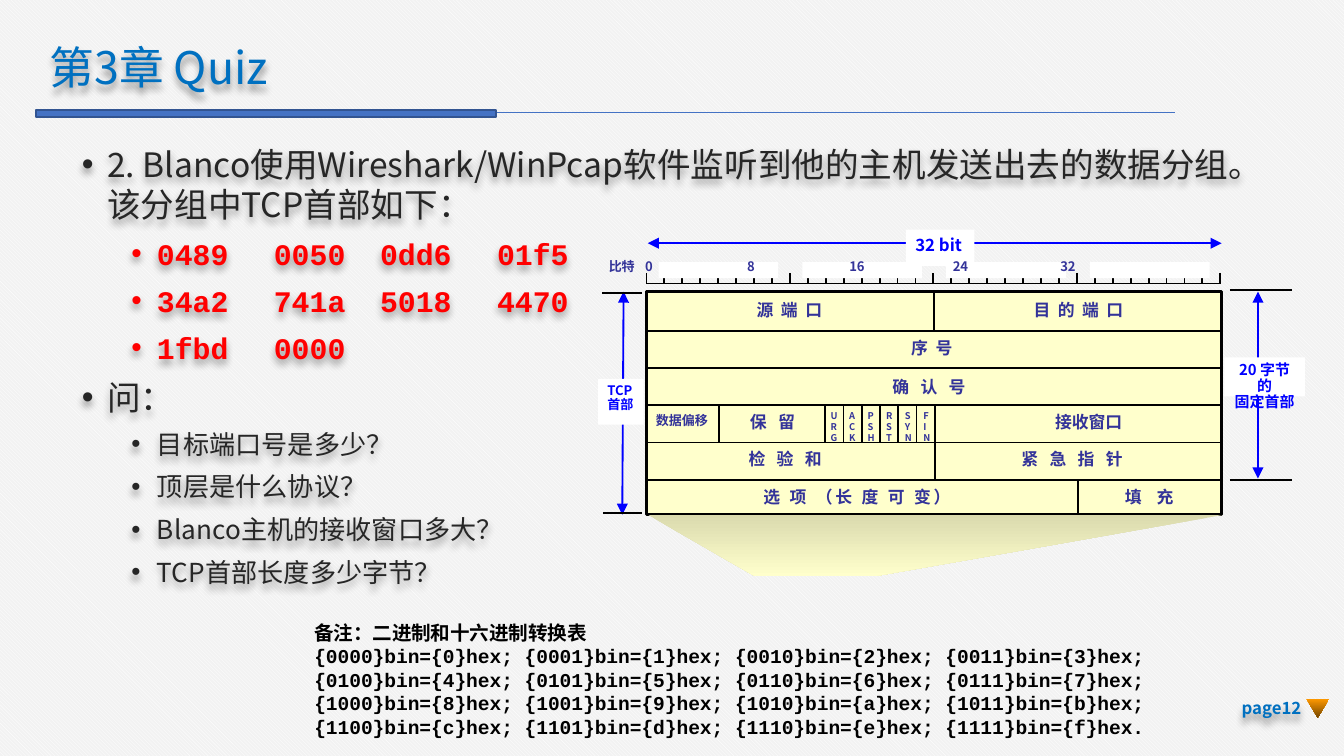
"""Build the chapter 3 quiz slide with a TCP header diagram."""
from lxml import etree
from pptx import Presentation
from pptx.dml.color import RGBColor
from pptx.enum.dml import MSO_PATTERN
from pptx.enum.shapes import MSO_CONNECTOR, MSO_SHAPE
from pptx.enum.text import MSO_ANCHOR, PP_ALIGN
from pptx.oxml.ns import qn
from pptx.util import Inches, Pt

COLORS = {
    "white": "FFFFFF", "paper": "F2F2F2", "bar": "4472C4", "bar_edge": "325491",
    "title": "0070C0", "body": "262626", "red": "FF0000", "blue": "0000FF",
    "label": "333399", "black": "000000", "cell": "FFFFCC", "cell_dark": "DADAAE",
    "orange": "FF9900", "brown": "764700",
}
RGB = {name: RGBColor.from_string(value) for name, value in COLORS.items()}
CJK, MONO = "Noto Sans CJK SC", "Courier New"
SMALL_INSETS = (0.07, 0.04)

presentation = Presentation()
presentation.slide_width = Inches(10)
presentation.slide_height = Inches(10 * 9 / 16)
slide = presentation.slides.add_slide(presentation.slide_layouts[6])
background = slide.background.fill
background.patterned()
background.pattern = MSO_PATTERN.DARK_DOWNWARD_DIAGONAL
background.fore_color.rgb, background.back_color.rgb = RGB["white"], RGB["paper"]


def add_text(text, box=None, shape=None, size=9, color="label", font=CJK, bold=True,
             fill=None, line=None, insets=SMALL_INSETS, wrap=True, anchor=MSO_ANCHOR.TOP,
             align=PP_ALIGN.LEFT, spacing=None, before=0, indent=None, tabs=(),
             tracking=0, shadow=False):
    """Write paragraphs into a new box, or append them to a given shape."""
    if shape is None:
        place = [Inches(length) for length in box]
        if fill:
            shape = slide.shapes.add_shape(MSO_SHAPE.RECTANGLE, *place)
            shape.shadow.inherit = False
            shape.fill.solid()
            shape.fill.fore_color.rgb = RGB[fill]
            if line:
                shape.line.color.rgb, shape.line.width = RGB[line[0]], Pt(line[1])
            else:
                shape.line.fill.background()
        else:
            shape = slide.shapes.add_textbox(*place)
        frame = shape.text_frame
        frame.word_wrap, frame.vertical_anchor = wrap, anchor
        frame.margin_left = frame.margin_right = Inches(insets[0])
        frame.margin_top = frame.margin_bottom = Inches(insets[1])
        if shadow:
            effects = etree.SubElement(shape._element.spPr, qn("a:effectLst"))
            outer = etree.SubElement(effects, qn("a:outerShdw"), blurRad="50800",
                                     dist="38100", dir="5400000", algn="t", rotWithShape="0")
            black = etree.SubElement(outer, qn("a:srgbClr"), val=COLORS["black"])
            etree.SubElement(black, qn("a:alpha"), val="40000")
    frame = shape.text_frame
    for content in text.split("\n") if text else []:
        first = not frame.text
        paragraph = frame.paragraphs[0] if first else frame.add_paragraph()
        paragraph.alignment = align
        paragraph.space_before = Pt(0 if first else before)
        if spacing:
            paragraph.line_spacing = spacing
        properties = paragraph._p.get_or_add_pPr()
        if indent:
            properties.set("marL", str(Inches(indent)))
            properties.set("indent", str(Inches(-0.19)))
            etree.SubElement(properties, qn("a:buFont"), typeface="Arial")
            etree.SubElement(properties, qn("a:buChar"), char="•")
        if tabs:
            tab_list = etree.SubElement(properties, qn("a:tabLst"))
            for stop in tabs:
                etree.SubElement(tab_list, qn("a:tab"), pos=str(Inches(stop)), algn="l")
        run = paragraph.add_run()
        run.text = content
        run.font.size, run.font.bold, run.font.name = Pt(size), bold, font
        run.font.color.rgb = RGB[color]
        run_properties = run._r.get_or_add_rPr()
        etree.SubElement(run_properties, qn("a:ea"), typeface=CJK)
        if tracking:
            run_properties.set("spc", str(int(tracking * 100)))
    return shape


def add_line(x1, y1, x2, y2, color="black", width=1, arrows=False):
    """Draw a straight line, with an arrowhead at both ends if asked."""
    line = slide.shapes.add_connector(
        MSO_CONNECTOR.STRAIGHT, Inches(x1), Inches(y1), Inches(x2), Inches(y2))
    line.line.color.rgb, line.line.width = RGB[color], Pt(width)
    if arrows:
        for end in ("a:headEnd", "a:tailEnd"):
            etree.SubElement(line.line._get_or_add_ln(), qn(end), type="triangle")
    etree.SubElement(line._element.spPr, qn("a:effectLst"))


add_line(8.74, 0.84, 0.27, 0.84, color="bar", width=0.5)
add_text("", (0.27, 0.82, 3.42, 0.05), fill="bar", line=("bar_edge", 1))
add_text("第3章 Quiz", (0.27, 0.3, 4.34, 0.44), size=24, color="title", bold=False,
         insets=(0.1, 0.05), anchor=MSO_ANCHOR.MIDDLE, spacing=0.9, shadow=True)

plain = dict(color="body", bold=False, before=6)
body = add_text("2. Blanco使用Wireshark/WinPcap软件监听到他的主机发送出去的数据分组。该分组中TCP首部如下：",
                (0.51, 1.02, 8.82, 4.13), size=18, indent=0.19, insets=(0.1, 0.05),
                shadow=True, **plain)
add_text("0489\t0050\t0dd6\t01f5\n34a2\t741a\t5018\t4470\n1fbd\t0000", shape=body, size=16,
         color="red", font=MONO, before=6, indent=0.56, tabs=(1.43, 2.22, 3.09))
add_text("问：", shape=body, size=18, indent=0.19, **plain)
add_text("目标端口号是多少？\n顶层是什么协议？\nBlanco主机的接收窗口多大？\nTCP首部长度多少字节？",
         shape=body, size=14, indent=0.56, **plain)

add_line(4.64, 2.17, 4.63, 3.83, color="blue", arrows=True)
add_text("TCP\n首部", (4.45, 2.82, 0.34, 0.34), size=7, color="blue", fill="white",
         wrap=False, spacing=0.9)
add_line(9.36, 2.17, 9.36, 3.56, color="blue", arrows=True)
add_text("20 字节的\n固定首部", (9.11, 2.66, 0.6, 0.29), size=8, color="blue", fill="white",
         align=PP_ALIGN.CENTER, spacing=0.9)

left, right, top, bottom = 4.81, 9.09, 2.17, 3.83
add_text("", (left, top, right - left, bottom - top), fill="cell", line=("black", 2))
builder = slide.shapes.build_freeform(Inches(4.82), Inches(3.83))
builder.add_line_segments(
    [(Inches(x), Inches(y)) for x, y in ((5.62, 4.29), (6.5, 4.29), (9.11, 3.83))], close=True)
funnel = builder.convert_to_shape()
marker = slide.shapes.add_shape(
    MSO_SHAPE.FLOWCHART_MERGE, Inches(9.72), Inches(5.2), Inches(0.17), Inches(0.14))
for shape, shades in ((funnel, ("cell_dark", "cell")), (marker, ("orange", "brown"))):
    shape.shadow.inherit = False
    shape.line.fill.background()
    shape.fill.gradient()
    shape.fill.gradient_angle = 270
    for stop, shade in zip(shape.fill.gradient_stops, shades):
        stop.color.rgb = RGB[shade]

for row in range(5):
    y = 2.46 + row * 1.11 / 4
    add_line(left, y, right, y)
for x, y1, y2 in ((6.95, 2.18, 2.46), (6.96, 3.02, 3.57), (5.35, 3.02, 3.29), (8.02, 3.58, 3.83)):
    add_line(x, y1, x, y2)
for flag in range(6):
    x = 6.14 + flag * 0.68 / 5
    add_line(x, 3.02, x, 3.29)

for text, x, y, width, tracking in (
    ("源 端 口", 5.56, 2.19, 0.67, 1), ("目 的 端 口", 7.62, 2.19, 0.87, 1),
    ("序 号", 6.71, 2.47, 0.48, 1), ("确 认 号", 6.57, 2.76, 0.81, 2),
    ("保 留", 5.51, 3.02, 0.51, 2), ("接收窗口", 7.78, 3.02, 0.65, 0),
    ("检 验 和", 5.5, 3.3, 0.75, 2), ("紧 急 指 针", 7.53, 3.3, 0.98, 2),
    ("选 项 （长 度 可 变）", 5.61, 3.58, 1.78, 1.5), ("填 充", 8.3, 3.58, 0.63, 3),
):
    add_text(text, (x, y, width, 0.27), tracking=tracking)
add_text("数据偏移", (4.81, 3.03, 0.58, 0.23), size=7)
for index, flag in enumerate(("URG", "ACK", "PSH", "RST", "SYN", "FIN")):
    add_text("\n".join(flag), (6.11 + index * 0.69 / 5, 3.01, 0.15, 0.38), size=5, spacing=Pt(6))

add_line(4.82, 1.81, right, 1.81, color="blue", arrows=True)
add_text("32 bit", (6.74, 1.71, 0.51, 0.27), color="blue", fill="white", wrap=False)
add_line(left, 2.11, 9.08, 2.11)
for bit in range(33):
    x = left + bit * 4.27 / 32
    add_line(x, 1.99 if bit % 8 else 2.03, x, 2.11)
for byte in range(4):
    add_text("", (4.9 + byte * 1.07, 1.95, 0.89, 0.12), fill="white")
add_text("比特\t0\t8\t16\t24\t32", (4.46, 1.88, 5.07, 0.23), size=7,
         tabs=(0.27, 1.03, 1.79, 2.56, 3.36))
for x1, x2, y in ((9.15, 9.61, 2.16), (9.15, 9.61, 3.57), (4.48, 4.78, 2.18), (4.49, 4.78, 3.82)):
    add_line(x1, y, x2, y)

add_text("page12", (9.09, 5.12, 0.69, 0.3), color="title", insets=(0.1, 0.05),
         anchor=MSO_ANCHOR.MIDDLE, align=PP_ALIGN.RIGHT, shadow=True)
note = add_text("备注：二进制和十六进制转换表", (2.24, 4.57, 6.86, 0.98), size=10.5, color="black",
                insets=(0.1, 0.05), align=PP_ALIGN.JUSTIFY)
for start in range(0, 16, 4):
    pairs = [f"{{{value:04b}}}bin={{{value:x}}}hex" for value in range(start, start + 4)]
    add_text("; ".join(pairs) + (";" if start < 12 else "."), shape=note, size=10.5,
             color="black", font=MONO, align=PP_ALIGN.JUSTIFY)

presentation.save("out.pptx")
